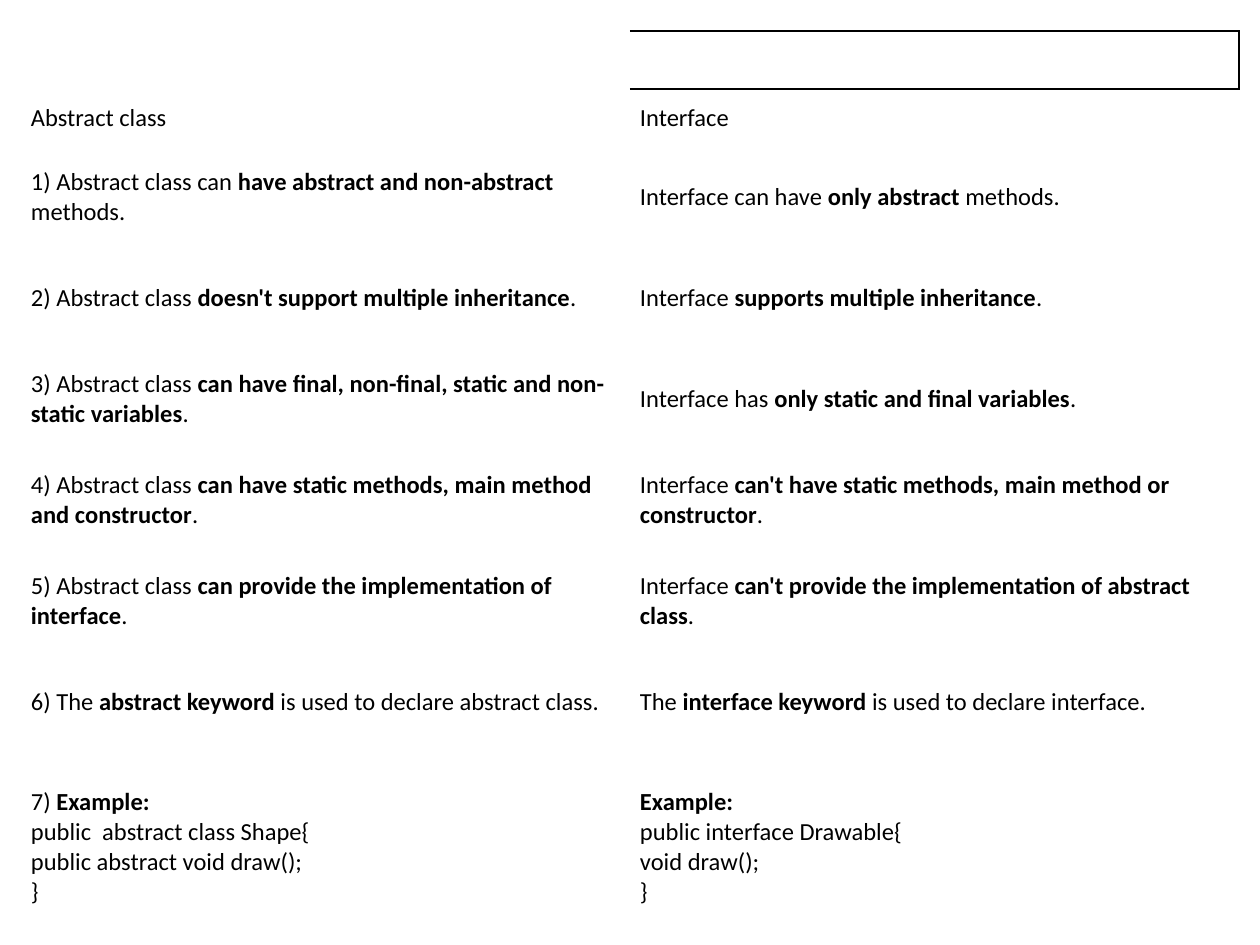
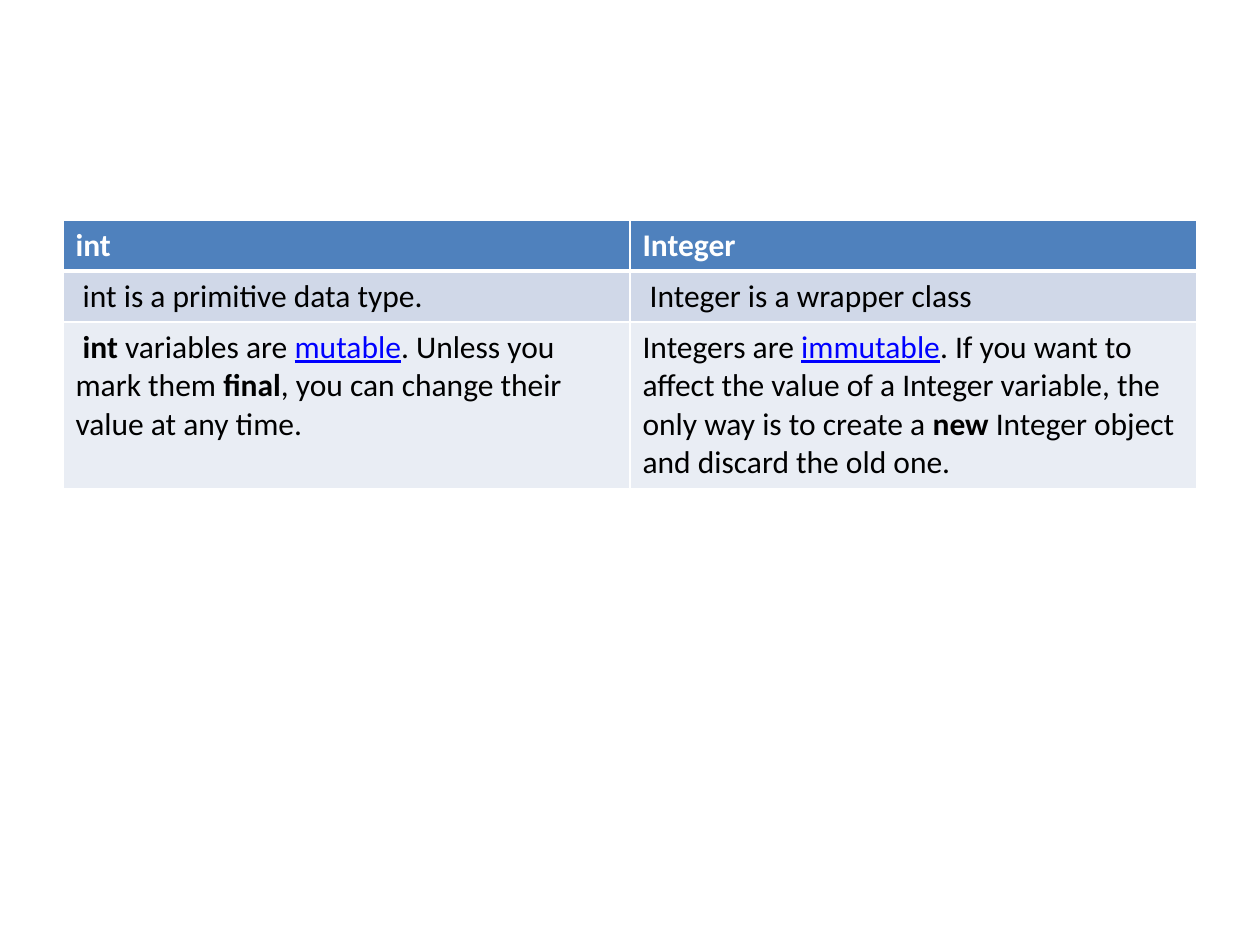
"""Two comparison tables: abstract class / interface and int / Integer."""
from dataclasses import dataclass

from lxml import etree
from pptx import Presentation
from pptx.dml.color import RGBColor
from pptx.enum.text import MSO_ANCHOR
from pptx.oxml.ns import qn
from pptx.util import Pt

TOP, MIDDLE = MSO_ANCHOR.TOP, MSO_ANCHOR.MIDDLE
PIXELS_PER_INCH = 126
BLANK_LAYOUT = 6
NO_STYLE_NO_GRID = "{2D5ABB26-0587-4C30-8999-92F81FD0307C}"


@dataclass(frozen=True)
class Theme:
    """Colours, font and type sizes of the deck."""
    font: str = "Calibri"
    small: int = 14
    body: int = 18
    ink: str = "000000"
    paper: str = "FFFFFF"
    link: str = "0000FF"
    header: str = "4F81BD"
    bands: tuple = ("D0D8E8", "E9EDF4")


THEME = Theme()

# A cell is a list of spans; a span is plain text or (text, style).
STYLES = {
    "plain": {},
    "bold": {"bold": True},
    "link": {"color": THEME.link, "underline": True},
}

CLASS_ROWS = [
    ([], []),
    (["Abstract class"], ["Interface"]),
    (["1) Abstract class can ", ("have abstract and non-abstract", "bold"), " methods."],
     ["Interface can have ", ("only abstract", "bold"), " methods."]),
    (["2) Abstract class ", ("doesn't support multiple inheritance", "bold"), "."],
     ["Interface ", ("supports multiple inheritance", "bold"), "."]),
    (["3) Abstract class ",
      ("can have final, non-final, static and non-static variables", "bold"), "."],
     ["Interface has ", ("only static and final variables", "bold"), "."]),
    (["4) Abstract class ",
      ("can have static methods, main method and constructor", "bold"), "."],
     ["Interface ",
      ("can't have static methods, main method or constructor", "bold"), "."]),
    (["5) Abstract class ",
      ("can provide the implementation of interface", "bold"), "."],
     ["Interface ",
      ("can't provide the implementation of abstract class", "bold"), "."]),
    (["6) The ", ("abstract keyword", "bold"), " is used to declare abstract class."],
     ["The ", ("interface keyword", "bold"), " is used to declare interface."]),
    (["7) ", ("Example:\n", "bold"),
      "public  abstract class Shape{\npublic abstract void draw();\n}"],
     [("Example:\n", "bold"), "public interface Drawable{\nvoid draw();\n}"]),
]

INTEGER_ROWS = [
    ([("int", "bold")], [("Integer", "bold")]),
    (["\u00a0int is a primitive data type."], ["\u00a0Integer is a wrapper class"]),
    (["\u00a0", ("int", "bold"), "\u00a0variables are\u00a0", ("mutable", "link"),
      ". Unless you mark them\u00a0", ("final", "bold"),
      ", you can change their value at any time."],
     ["Integers are\u00a0", ("immutable", "link"),
      ". If you want to affect the value of a Integer\u00a0variable, "
      "the only way is to create a\u00a0", ("new", "bold"),
      "\u00a0Integer\u00a0object and discard the old one."]),
]


def emu(pixels):
    """Turn pixels into EMU."""
    return round(pixels * 914400 / PIXELS_PER_INCH)


def write(paragraph, text, size=THEME.body, color=THEME.ink, bold=False, underline=False):
    """Add formatted text to a paragraph; newlines become line breaks."""
    for index, line in enumerate(text.split("\n")):
        if index:
            paragraph.add_line_break()
        if line:
            span = paragraph.add_run()
            span.text = line
            span.font.name = THEME.font
            span.font.size = Pt(size)
            span.font.color.rgb = RGBColor.from_string(color)
            span.font.bold = bold
            span.font.underline = underline


def fill_cell(cell, spans, size, color=THEME.ink, fill=None, anchor=TOP, margins=None):
    """Write the spans into a cell and set its fill, anchor and margins."""
    cell.vertical_anchor = anchor
    if margins:
        cell.margin_left = cell.margin_right = emu(margins[0])
        cell.margin_top = cell.margin_bottom = emu(margins[1])
    if fill:
        cell.fill.solid()
        cell.fill.fore_color.rgb = RGBColor.from_string(fill)
    else:
        cell.fill.background()
    paragraph = cell.text_frame.paragraphs[0]
    for span in spans:
        text, style = (span, "plain") if isinstance(span, str) else span
        write(paragraph, text, **{"size": size, "color": color, **STYLES[style]})


def set_borders(cell, color, **widths):
    """Draw the sides L, R, T, B of a cell, widths in points."""
    properties = cell._tc.get_or_add_tcPr()
    sides = [side for side in "LRTB" if side in widths]
    for index, side in enumerate(sides):
        line = etree.Element(qn(f"a:ln{side}"), w=str(Pt(widths[side])))
        solid = etree.SubElement(line, qn("a:solidFill"))
        etree.SubElement(solid, qn("a:srgbClr"), val=color)
        properties.insert(index, line)


def add_plain_table(page, left, top, column_width, row_heights):
    """Add an unstyled table of two equal columns."""
    frame = page.shapes.add_table(len(row_heights), 2, emu(left), emu(top),
                                  emu(2 * column_width), emu(sum(row_heights)))
    frame.element.find(".//" + qn("a:tableStyleId")).text = NO_STYLE_NO_GRID
    table = frame.table
    table.first_row = table.horz_banding = False
    for column in table.columns:
        column.width = emu(column_width)
    for row, height in zip(table.rows, row_heights):
        row.height = emu(height)
    return table


def build_class_page(page):
    """Abstract class against interface, without grid."""
    table = add_plain_table(page, 21, 31, 609, [58] * 2 + [101] * 6 + [188])
    for row, contents in zip(table.rows, CLASS_ROWS):
        for cell, spans in zip(row.cells, contents):
            fill_cell(cell, spans, THEME.small, anchor=MIDDLE, margins=(10, 5))
    set_borders(table.cell(0, 1), THEME.ink, R=1, T=1, B=1)


def build_integer_page(page):
    """int against Integer, with header and banded rows."""
    table = add_plain_table(page, 63, 220, 567, [51, 51, 166])
    fills = (THEME.header, *THEME.bands)
    for index, (row, contents) in enumerate(zip(table.rows, INTEGER_ROWS)):
        color = THEME.ink if index else THEME.paper
        for cell, spans in zip(row.cells, contents):
            fill_cell(cell, spans, THEME.body, color=color, fill=fills[index])
            set_borders(cell, THEME.paper, L=1, R=1,
                        T=3 if index == 1 else 1, B=1 if index else 3)


deck = Presentation()
deck.slide_width, deck.slide_height = emu(1260), emu(945)
for build in (build_class_page, build_integer_page):
    build(deck.slides.add_slide(deck.slide_layouts[BLANK_LAYOUT]))
deck.save("out.pptx")
